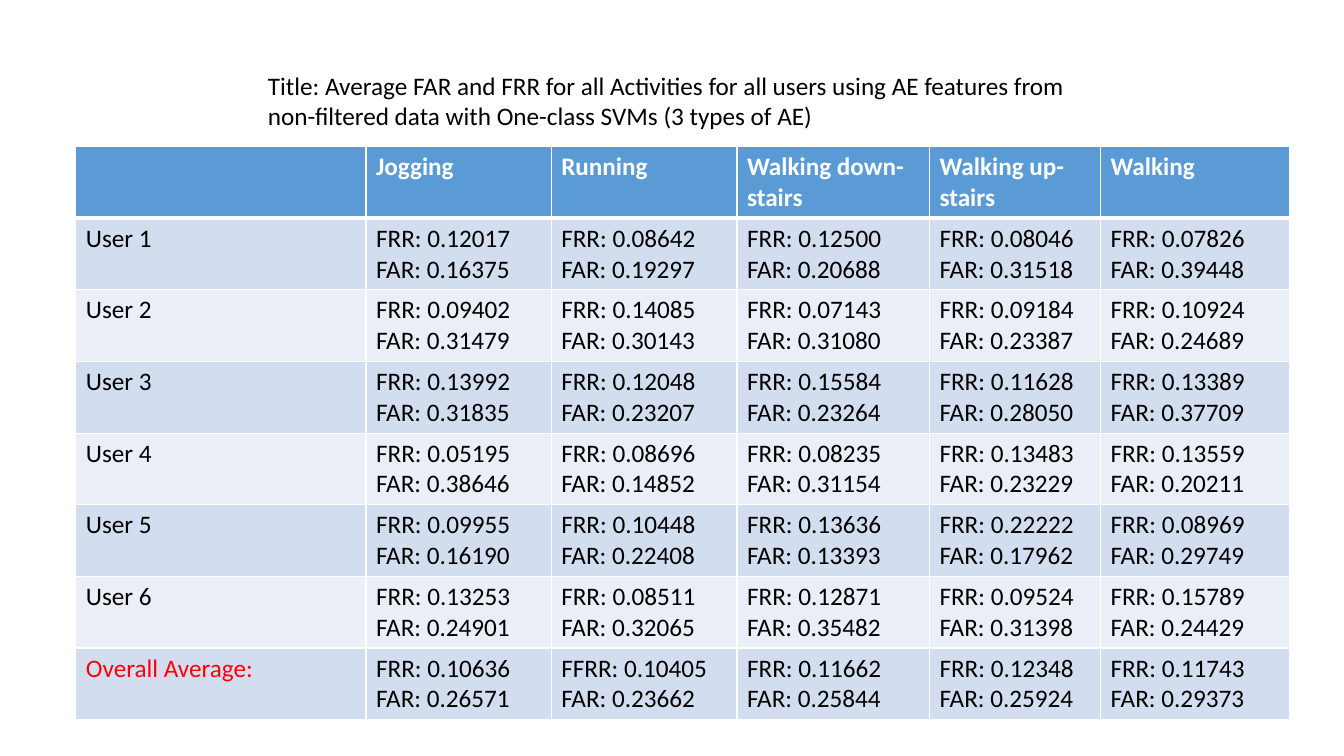
from lxml import etree
from pptx import Presentation
from pptx.dml.color import RGBColor
from pptx.enum import text
from pptx.oxml import ns
from pptx.util import Pt

WHITE = RGBColor(0xFF, 0xFF, 0xFF)
BLACK = RGBColor(0x00, 0x00, 0x00)
RED = RGBColor(0xFF, 0x00, 0x00)
BLUE = RGBColor(0x5B, 0x9B, 0xD5)
BANDS = RGBColor(0xD2, 0xDE, 0xEF), RGBColor(0xEA, 0xEF, 0xF7)

TITLE = ("Title: Average FAR and FRR for all Activities for all users using AE features "
         "from non-filtered data with One-class SVMs (3 types of AE)")
HEADS = ["", "Jogging", "Running", "Walking down-stairs", "Walking up-stairs", "Walking"]
WIDTHS = [207.25, 132.3, 132.7, 137.5, 122.15, 134.9]
HEIGHT = 50.4

# One row per user: FRR and FAR for each activity
RATES = [
    ("User 1", "0.12017 0.16375", "0.08642 0.19297", "0.12500 0.20688",
     "0.08046 0.31518", "0.07826 0.39448"),
    ("User 2", "0.09402 0.31479", "0.14085 0.30143", "0.07143 0.31080",
     "0.09184 0.23387", "0.10924 0.24689"),
    ("User 3", "0.13992 0.31835", "0.12048 0.23207", "0.15584 0.23264",
     "0.11628 0.28050", "0.13389 0.37709"),
    ("User 4", "0.05195 0.38646", "0.08696 0.14852", "0.08235 0.31154",
     "0.13483 0.23229", "0.13559 0.20211"),
    ("User 5", "0.09955 0.16190", "0.10448 0.22408", "0.13636 0.13393",
     "0.22222 0.17962", "0.08969 0.29749"),
    ("User 6", "0.13253 0.24901", "0.08511 0.32065", "0.12871 0.35482",
     "0.09524 0.31398", "0.15789 0.24429"),
    ("Overall Average:", "0.10636 0.26571", "0.10405 0.23662", "0.11662 0.25844",
     "0.12348 0.25924", "0.11743 0.29373"),
]


def write(frame, lines, color=BLACK, bold=False):
    for i, line in enumerate(lines):
        para = frame.add_paragraph() if i else frame.paragraphs[0]
        run = para.add_run()
        run.text = line
        font = run.font
        font.name, font.size, font.bold = "Calibri", Pt(18), bold
        font.color.rgb = color


def edge(cell, side, width):
    props = cell._tc.get_or_add_tcPr()
    line = etree.SubElement(props, ns.qn("a:ln" + side), w=str(Pt(width)))
    fill = etree.SubElement(line, ns.qn("a:solidFill"))
    etree.SubElement(fill, ns.qn("a:srgbClr"), val=str(WHITE))


def style(cell, row, color):
    # The rule under the header is thicker
    for side in "LRTB":
        thick = (row, side) in ((0, "B"), (1, "T"))
        edge(cell, side, 3 if thick else 1)
    cell.fill.solid()
    cell.fill.fore_color.rgb = color


def pair(rates, row, col):
    frr, far = rates.split()
    # The overall figure for Running carries its own label
    label = "FFRR" if (row, col) == (len(RATES), 2) else "FRR"
    return [f"{label}: {frr}", f"FAR: {far}"]


def add_title(slide):
    box = slide.shapes.add_textbox(Pt(184.3), Pt(46.8), Pt(585.4), Pt(51))
    frame = box.text_frame
    frame.word_wrap = True
    frame.auto_size = text.MSO_AUTO_SIZE.SHAPE_TO_FIT_TEXT
    write(frame, [TITLE])


def add_rates(slide):
    count = len(RATES) + 1
    table = slide.shapes.add_table(count, len(HEADS), Pt(54.2), Pt(104.7),
                                   Pt(sum(WIDTHS)), Pt(HEIGHT * count)).table
    for col, width in zip(table.columns, WIDTHS):
        col.width = Pt(width)

    # Header row
    for col, head in enumerate(HEADS):
        cell = table.cell(0, col)
        style(cell, 0, BLUE)
        if head:
            write(cell.text_frame, [head], WHITE, True)

    # User rows and the overall average
    for row, (name, *cells) in enumerate(RATES, 1):
        band = BANDS[(row - 1) % 2]
        first = table.cell(row, 0)
        style(first, row, band)
        write(first.text_frame, [name], RED if row == len(RATES) else BLACK)
        for col, rates in enumerate(cells, 1):
            cell = table.cell(row, col)
            style(cell, row, band)
            write(cell.text_frame, pair(rates, row, col))


def main():
    deck = Presentation()
    deck.slide_width, deck.slide_height = Pt(960), Pt(540)
    slide = deck.slides.add_slide(deck.slide_layouts[6])
    add_rates(slide)
    add_title(slide)
    deck.save("out.pptx")


if __name__ == "__main__":
    main()
